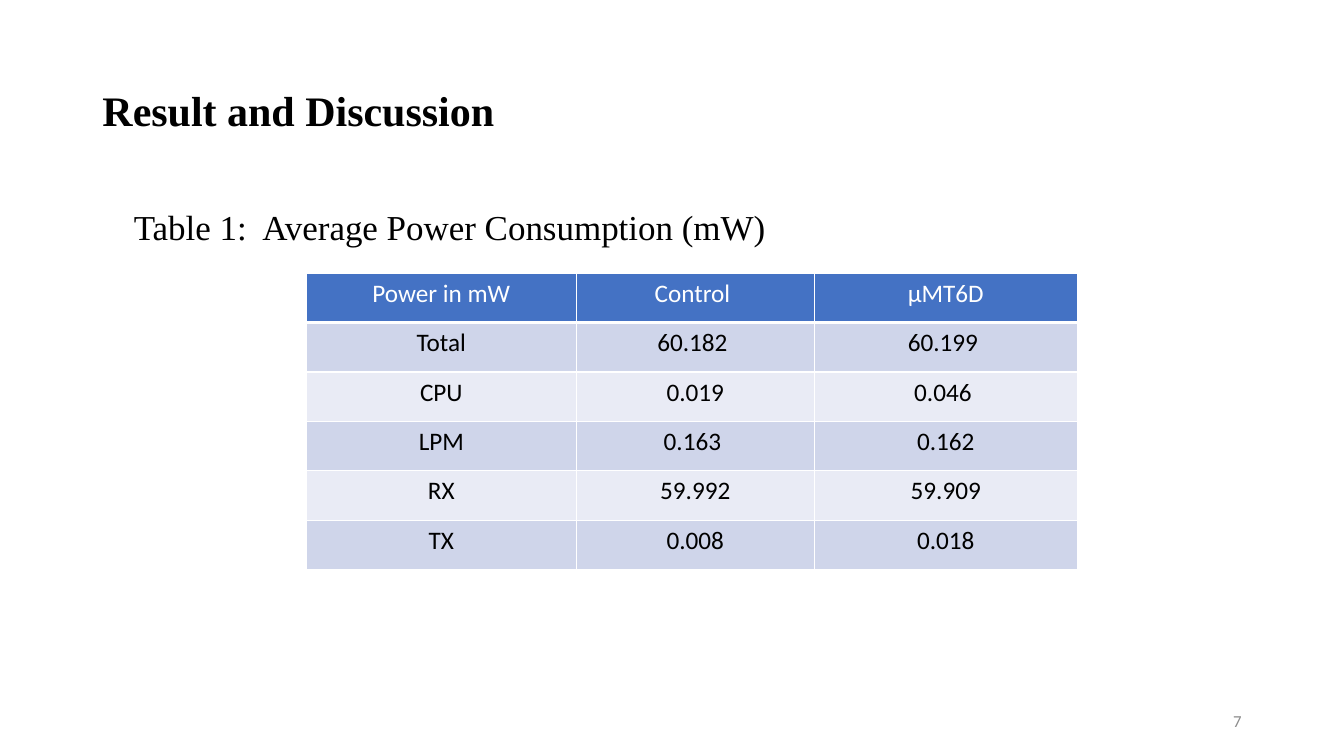
from pptx import Presentation
from pptx.dml.color import RGBColor
from pptx.enum.text import MSO_ANCHOR as Anchor, PP_ALIGN as Align
from pptx.oxml import parse_xml
from pptx.oxml.ns import nsdecls
from pptx.util import Pt

BLACK = RGBColor(0x00, 0x00, 0x00)
WHITE = RGBColor(0xFF, 0xFF, 0xFF)
GRAY = RGBColor(0x8C, 0x8C, 0x8C)
HEADER_BLUE = RGBColor(0x44, 0x72, 0xC4)
BAND_DARK = RGBColor(0xCF, 0xD5, 0xEA)
BAND_LIGHT = RGBColor(0xE9, 0xEB, 0xF5)
SERIF = "Times New Roman"
SANS = "Calibri"

POWER_ROWS = [
    ("Power in mW", "Control ", "µMT6D"),
    ("Total", "60.182 ", "60.199 "),
    ("CPU", "0.019", "0.046 "),
    ("LPM", "0.163 ", "0.162"),
    ("RX", "59.992", "59.909"),
    ("TX", "0.008", "0.018"),
]
COLUMN_SHARES = (0.35, 0.309, 0.341)


def write(text_frame, text, font_name, size, color, align=Align.LEFT, bold=False):
    text_frame.text = text
    paragraph = text_frame.paragraphs[0]
    paragraph.alignment = align
    font = paragraph.runs[0].font
    font.name, font.size, font.bold = font_name, Pt(size), bold
    font.color.rgb = color


def add_title(slide, left, top, width, height):
    title = slide.shapes.title
    title.left, title.top, title.width, title.height = map(Pt, (left, top, width, height))
    write(title.text_frame, "Result and Discussion", SERIF, 30, BLACK, bold=True)
    title.text_frame.vertical_anchor = Anchor.MIDDLE
    title.text_frame.paragraphs[0].line_spacing = 0.9


def add_label(slide, box, text, font_name, size, color, align, anchor):
    label = slide.shapes.add_textbox(*map(Pt, box))
    label.text_frame.word_wrap = True
    label.text_frame.vertical_anchor = anchor
    write(label.text_frame, text, font_name, size, color, align)


def set_borders(cell, widths):
    properties = cell._tc.get_or_add_tcPr()
    for position, (side, width) in enumerate(widths.items()):
        properties.insert(position, parse_xml(
            f'<a:{side} {nsdecls("a")} w="{Pt(width)}"><a:solidFill>'
            f'<a:srgbClr val="{WHITE}"/></a:solidFill></a:{side}>'))


def add_power_table(slide, left, top, width, height):
    frame = slide.shapes.add_table(
        len(POWER_ROWS), len(COLUMN_SHARES), *map(Pt, (left, top, width, height)))
    table = frame.table
    for column, share in zip(table.columns, COLUMN_SHARES):
        column.width = Pt(round(width * share, 1))
    for row_index, values in enumerate(POWER_ROWS):
        is_header = row_index == 0
        band = BAND_DARK if row_index % 2 else BAND_LIGHT
        for column_index, value in enumerate(values):
            cell = table.cell(row_index, column_index)
            cell.fill.solid()
            cell.fill.fore_color.rgb = HEADER_BLUE if is_header else band
            write(cell.text_frame, value, SANS, 18,
                  WHITE if is_header else BLACK, Align.CENTER)
            set_borders(cell, {"lnL": 1, "lnR": 1,
                               "lnT": 3 if row_index == 1 else 1,
                               "lnB": 3 if is_header else 1})


def build_result_slide(presentation):
    slide = presentation.slides.add_slide(presentation.slide_layouts[5])
    add_title(slide, 66, 28.75, 828, 104.4)
    add_label(slide, (88.5, 143.5, 700, 38), "Table 1:  Average Power Consumption (mW)",
              SERIF, 25, BLACK, Align.LEFT, Anchor.TOP)
    add_power_table(slide, 218.9, 195.1, 550.6, 211.8)
    add_label(slide, (678, 500.5, 216, 28.75), "7",
              SANS, 12, GRAY, Align.RIGHT, Anchor.MIDDLE)


presentation = Presentation()
presentation.slide_width, presentation.slide_height = Pt(960), Pt(540)
build_result_slide(presentation)
presentation.save("out.pptx")
